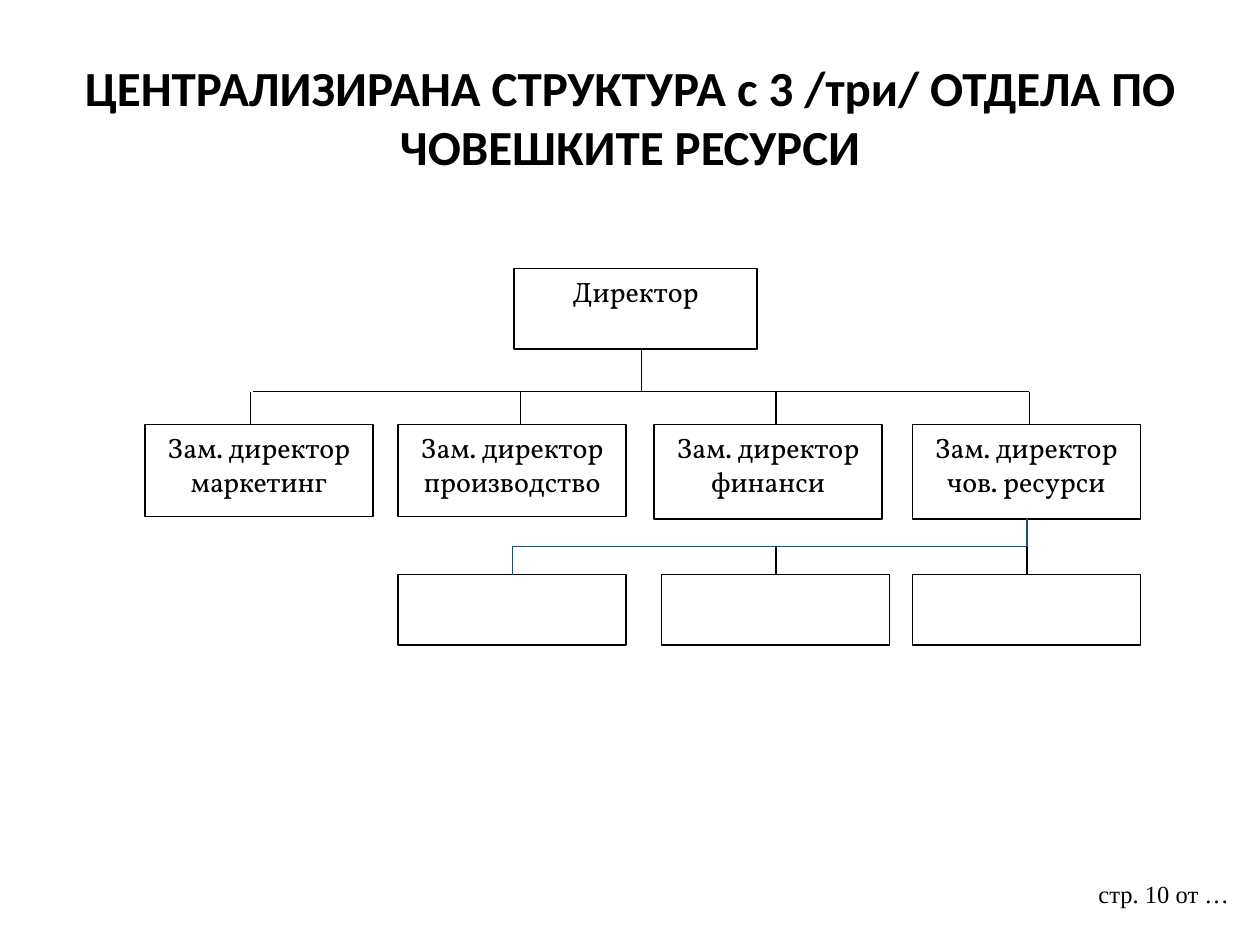
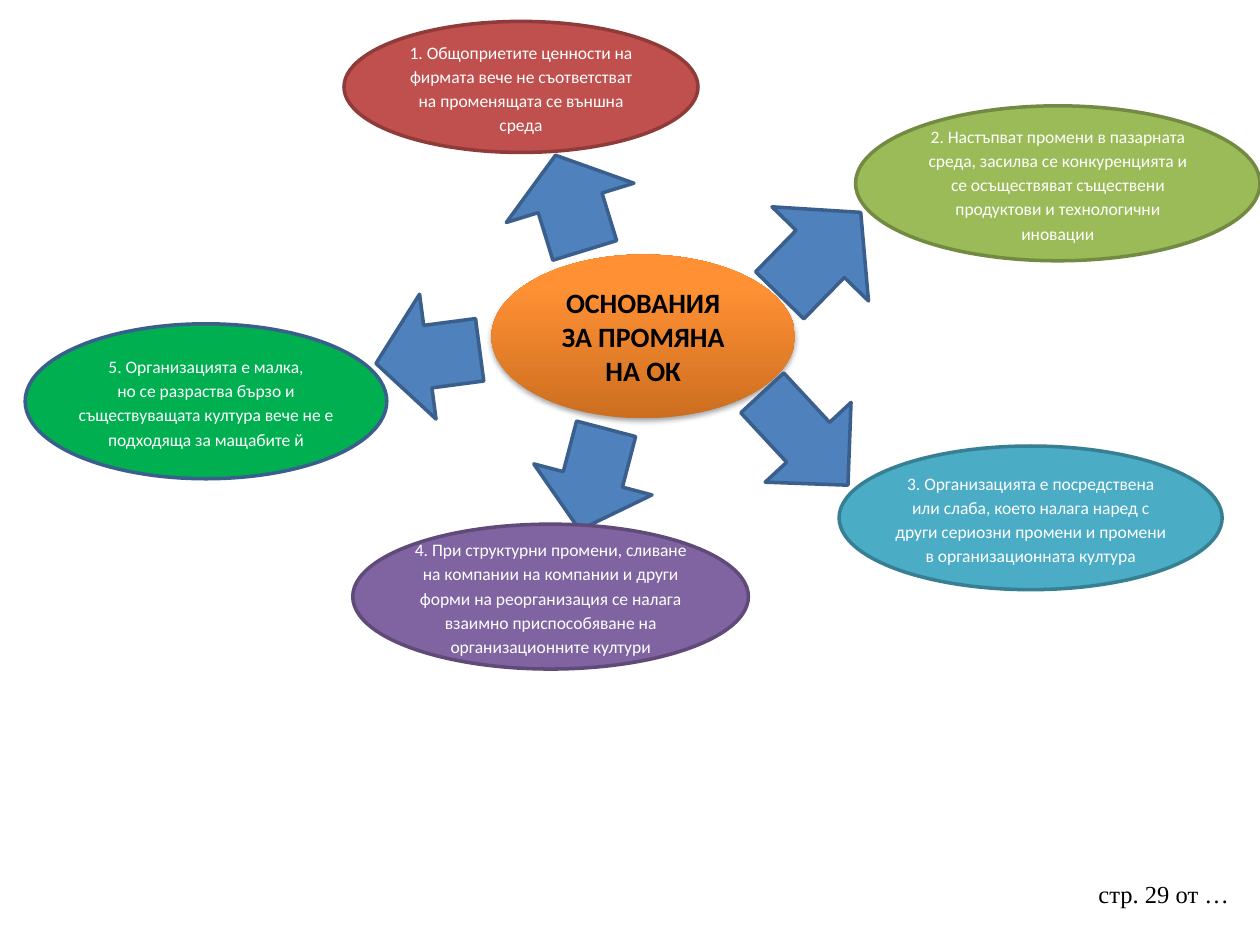
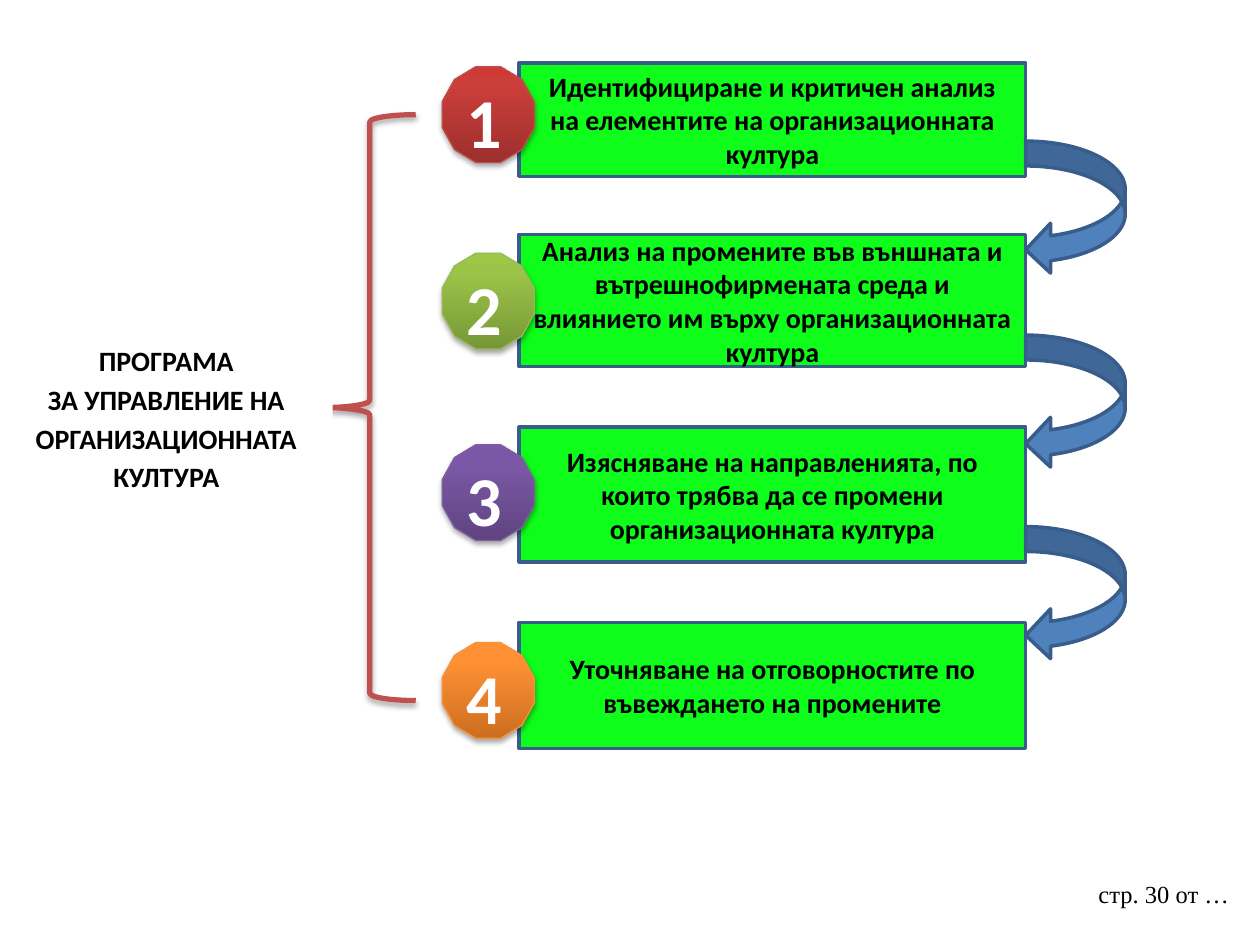
"""Builds three slides on human resources structure and organisational culture."""
from copy import deepcopy
from dataclasses import dataclass

from lxml import etree
from pptx import Presentation
from pptx.dml.color import RGBColor
from pptx.enum.shapes import MSO_CONNECTOR, MSO_SHAPE
from pptx.enum.text import MSO_ANCHOR, PP_ALIGN
from pptx.oxml import parse_xml
from pptx.oxml.ns import nsdecls, qn
from pptx.util import Pt

RECTANGLE, OVAL = MSO_SHAPE.RECTANGLE, MSO_SHAPE.OVAL
RIGHT_ARROW, CURVED_ARROW = MSO_SHAPE.RIGHT_ARROW, MSO_SHAPE.CURVED_LEFT_ARROW
DODECAGON, LEFT_BRACE = MSO_SHAPE.DODECAGON, MSO_SHAPE.LEFT_BRACE
STRAIGHT, ELBOW = MSO_CONNECTOR.STRAIGHT, MSO_CONNECTOR.ELBOW
TOP, MIDDLE = MSO_ANCHOR.TOP, MSO_ANCHOR.MIDDLE
LEFT, CENTER = PP_ALIGN.LEFT, PP_ALIGN.CENTER
PX = 9144


@dataclass(frozen=True)
class Theme:
    black: str = "000000"
    white: str = "FFFFFF"
    navy: str = "1F497D"
    blue: str = "4F81BD"
    blue_edge: str = "3A5F8C"
    step_edge: str = "385D8A"
    step_green: str = "0FFD1A"
    red: str = "C0504D"
    orange_fade: tuple = ("CC6E20", "FF9034", "FF9136")
    red_fade: tuple = ("9C2F2D", "CB3E3A", "CE3B37")
    green_fade: tuple = ("779737", "9BC348", "9DC746")
    purple_fade: tuple = ("5F4480", "7B58A6", "7C57A8")
    body: str = "Calibri"
    chart: str = "Vollkorn"
    footer: str = "Times New Roman"
    title_size: int = 28
    text_size: int = 16
    small_size: int = 10
    footer_size: int = 14
    number_size: int = 40
    hairline: float = 0.75
    outline: int = 2
    brace: int = 3
    spacing: float = 1.15


THEME = Theme()


def draw(page, kind, frame, fill=None, edge=None, weight=THEME.outline, shadow=False):
    """Adds a shape with a plain or three-stop fill, an outline and an optional shadow."""
    shape = page.shapes.add_shape(kind, *(value * PX for value in frame))
    shape.shadow.inherit = False
    if shadow:
        effects = shape.element.spPr.find(qn("a:effectLst"))
        effects.append(parse_xml(
            f'<a:outerShdw {nsdecls("a")} blurRad="40000" dist="23000" dir="5400000" rotWithShape="0">'
            f'<a:srgbClr val="{THEME.black}"><a:alpha val="35000"/></a:srgbClr></a:outerShdw>'))
    if isinstance(fill, tuple):
        shape.fill.gradient()
        shape.fill.gradient_angle = 90
        stops = shape.element.spPr.find(".//" + qn("a:gsLst"))
        stops.append(deepcopy(stops[-1]))
        for stop, color, position in zip(shape.fill.gradient_stops, fill, (0, 0.8, 1)):
            stop.color.rgb = RGBColor.from_string(color)
            stop.position = position
    elif fill:
        shape.fill.solid()
        shape.fill.fore_color.rgb = RGBColor.from_string(fill)
    else:
        shape.fill.background()
    if edge:
        shape.line.color.rgb = RGBColor.from_string(edge)
        shape.line.width = Pt(weight)
    else:
        shape.line.fill.background()
    return shape


def write(shape, text, size=THEME.text_size, color=THEME.black, font=THEME.body, bold=False,
          align=CENTER, anchor=MIDDLE, spacing=None, after=None, insets=(10, 5)):
    """Fills a shape with paragraphs in one style."""
    frame = shape.text_frame
    frame.word_wrap = True
    frame.vertical_anchor = anchor
    frame.margin_left = frame.margin_right = insets[0] * PX
    frame.margin_top = frame.margin_bottom = insets[1] * PX
    frame.text = text
    for para in frame.paragraphs:
        para.alignment = align
        para.line_spacing = spacing
        para.space_after = after
        for span in para.runs:
            span.font.name = font
            span.font.size = Pt(size)
            span.font.bold = bold
            span.font.color.rgb = RGBColor.from_string(color)


deck = Presentation()
deck.slide_width, deck.slide_height = 1000 * PX, 750 * PX
pages = []
for number in (10, 29, 30):
    page = deck.slides.add_slide(deck.slide_layouts[6])
    footer = page.shapes.add_textbox(862 * PX, 693 * PX, 130 * PX, 52 * PX)
    write(footer, f"стр. {number} от …", THEME.footer_size, font=THEME.footer, align=LEFT, anchor=TOP)
    pages.append(page)
structure_page, reasons_page, programme_page = pages

title = structure_page.shapes.add_textbox(50 * PX, 30 * PX, 900 * PX, 125 * PX)
write(title, "ЦЕНТРАЛИЗИРАНА СТРУКТУРА с 3 /три/ ОТДЕЛА ПО ЧОВЕШКИТЕ РЕСУРСИ",
      THEME.title_size, bold=True)

posts = [
    ("Директор", (408, 213, 193, 64)),
    ("Зам. директор маркетинг", (115, 337, 181, 73)),
    ("Зам. директор производство", (316, 337, 181, 73)),
    ("Зам. директор финанси", (519, 337, 181, 75)),
    ("Зам. директор чов. ресурси", (724, 337, 181, 75)),
]
for post, frame in posts:
    box = draw(structure_page, RECTANGLE, frame, THEME.white, THEME.black, THEME.hairline)
    write(box, post, font=THEME.chart, anchor=TOP)
for left in (316, 525, 724):
    draw(structure_page, RECTANGLE, (left, 456, 181, 56), THEME.white, THEME.black, THEME.hairline)

links = [(STRAIGHT, (201, 311, 817, 311), THEME.black), (STRAIGHT, (509, 277, 509, 311), THEME.black)]
links += [(STRAIGHT, (x, 311, x, 337), THEME.black) for x in (199, 413, 616, 817)]
links.append((STRAIGHT, (815, 411, 815, 456), THEME.black))
for target, color in ((616, THEME.black), (407, THEME.navy)):
    middle_x, middle_y = (815 + target) / 2, (411 + 456) / 2
    half_drop, half_run = (456 - 411) / 2, (815 - target) / 2
    links.append((ELBOW, (middle_x - half_drop, middle_y - half_run,
                          middle_x + half_drop, middle_y + half_run), color))
for kind, ends, color in links:
    link = structure_page.shapes.add_connector(kind, *(int(value * PX) for value in ends))
    link.line.color.rgb = RGBColor.from_string(color)
    link.line.width = Pt(THEME.hairline)
    etree.SubElement(link.element.spPr, qn("a:effectLst"))
    if kind == ELBOW:
        link.element.spPr.find(qn("a:xfrm")).set("rot", "5400000")

hub = draw(reasons_page, OVAL, (390, 202, 241, 130), THEME.orange_fade, shadow=True)
write(hub, "ОСНОВАНИЯ\nЗА ПРОМЯНА НА ОК", bold=True)
arrows = [
    ((413, 108, 79, 106), 252.9),
    ((605, 148, 92, 107), 314.3),
    ((589, 302, 100, 93), 47.1),
    ((429, 332, 83, 97), 104.7),
    ((298, 233, 83, 100), 172.5),
]
for frame, angle in arrows:
    arrow = draw(reasons_page, RIGHT_ARROW, frame, THEME.blue, THEME.blue_edge)
    arrow.rotation = angle
reasons = [
    ("1. Общоприетите ценности на фирмата вече не съответстват на променящата се външна среда",
     (273, 17, 281, 104), THEME.red, "8E3B39", 4, None),
    ("2. Настъпват промени в пазарната среда, засилва се конкуренцията и се осъществяват "
     "съществени продуктови и технологични иновации",
     (679, 84, 321, 123), "9BBB59", "738A42", 4, Pt(10)),
    ("5. Организацията е малка,\nно се разраства бързо и съществуващата култура вече не "
     "е подходяща за мащабите й",
     (20, 257, 287, 123), "00B050", THEME.blue_edge, 0, None),
    ("3. Организацията е посредствена или слаба, което налага наред с други сериозни промени "
     "и промени в организационната култура",
     (666, 354, 304, 114), "4BACC6", "377F92", 0, Pt(10)),
    ("4. При структурни промени, сливане на компании на компании и други форми на "
     "реорганизация се налага взаимно приспособяване на организационните култури",
     (280, 416, 314, 115), "8064A2", "5F4A78", 0, Pt(10)),
]
for reason, frame, fill, edge, inset, after in reasons:
    bubble = draw(reasons_page, OVAL, frame, fill, edge)
    write(bubble, reason, THEME.small_size, THEME.white, spacing=THEME.spacing,
          after=after, insets=(inset, 0))

steps = [
    ("Идентифициране и критичен анализ на елементите на организационната култура",
     50, 90, 53, THEME.red_fade, "BF4C48"),
    ("Анализ на промените във външната и вътрешнофирмената среда и влиянието им върху "
     "организационната култура", 186, 105, 201, THEME.green_fade, "98B955"),
    ("Изясняване на направленията, по които трябва да се промени организационната култура",
     339, 107, 353, THEME.purple_fade, "7D60A0"),
    ("Уточняване на отговорностите по въвеждането на промените",
     494, 100, 510, THEME.orange_fade, "F69240"),
]
for number, (step, top, height, badge_top, fade, edge) in enumerate(steps, 1):
    box = draw(programme_page, RECTANGLE, (412, top, 402, height), THEME.step_green, THEME.step_edge)
    write(box, step, bold=True)
    badge = draw(programme_page, DODECAGON, (351, badge_top, 73, 76), fade, edge,
                 THEME.hairline, shadow=True)
    write(badge, str(number), THEME.number_size, THEME.white, bold=True, align=LEFT,
          spacing=THEME.spacing, after=Pt(10))
for top in (112, 266, 418):
    draw(programme_page, CURVED_ARROW, (814, top, 79, 106), THEME.blue, THEME.step_edge)
brace = draw(programme_page, LEFT_BRACE, (257, 91, 73, 465), edge=THEME.red,
             weight=THEME.brace, shadow=True)
brace.adjustments[0] = 0.08
label = draw(programme_page, RECTANGLE, (0, 265, 264, 157), THEME.white)
write(label, "ПРОГРАМА\nЗА УПРАВЛЕНИЕ НА ОРГАНИЗАЦИОННАТА\nКУЛТУРА", bold=True, anchor=TOP,
      spacing=THEME.spacing, insets=(4, 4))

deck.save("out.pptx")
